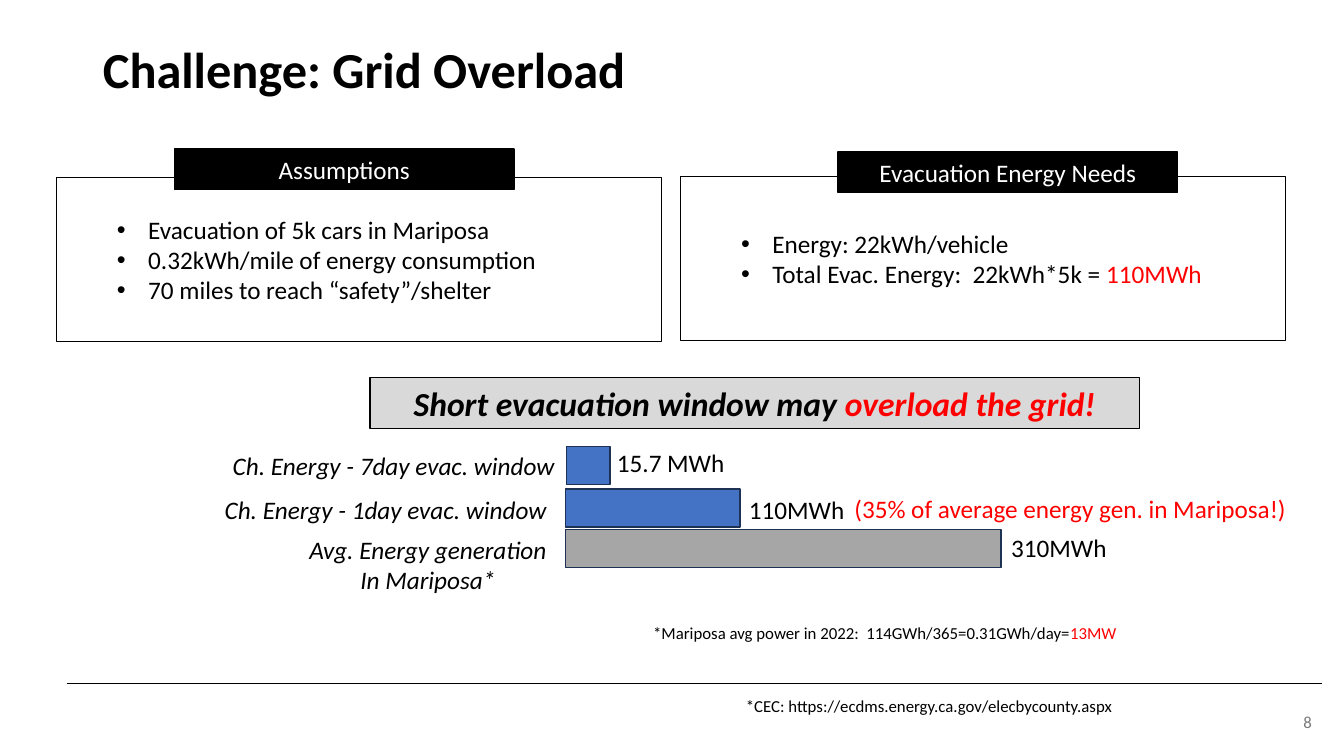
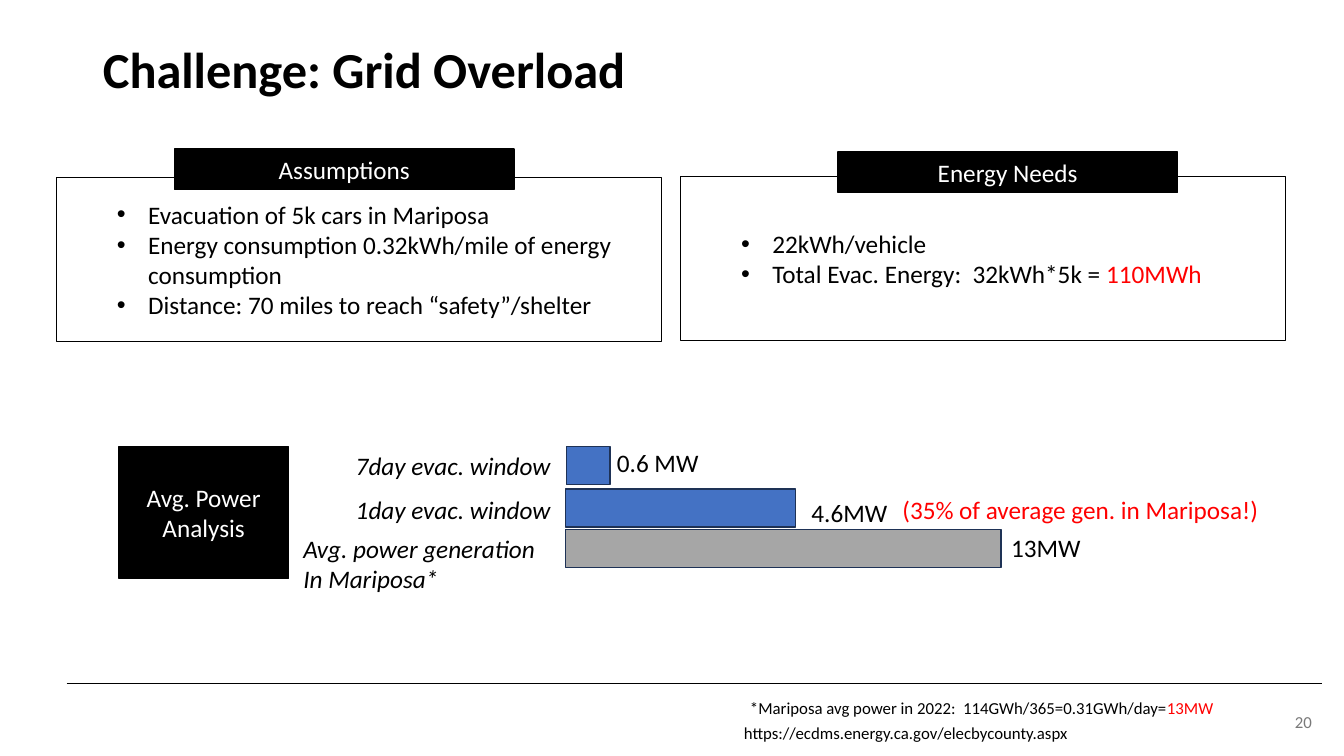
from dataclasses import dataclass

from lxml import etree
from pptx import Presentation
from pptx import util as u
from pptx.dml.color import RGBColor
from pptx.enum import shapes, text
from pptx.oxml import ns


@dataclass(frozen=True)
class Theme:
    font: str = "Calibri"
    black: str = "000000"
    white: str = "FFFFFF"
    red: str = "FF0000"
    grey: str = "797979"
    banner: str = "D9D9D9"
    blue_bar: str = "4472C4"
    grey_bar: str = "A6A6A6"
    bar_outline: str = "1E3256"
    title: int = 36
    headline: int = 24
    body: int = 18
    small: int = 12


THEME = Theme()
LEFT, CENTER, RIGHT = text.PP_ALIGN.LEFT, text.PP_ALIGN.CENTER, text.PP_ALIGN.RIGHT
TOP, MIDDLE = text.MSO_ANCHOR.TOP, text.MSO_ANCHOR.MIDDLE


def write(shape, lines, size=THEME.body, color=THEME.black, bold=False, italic=False,
          align=LEFT, anchor=TOP, wrap=True, bullets=False, spacing=1.0):
    """Fill a shape with lines; a line is a string or a (plain, red) pair."""
    frame = shape.text_frame
    frame.word_wrap = wrap
    frame.auto_size = text.MSO_AUTO_SIZE.NONE
    frame.vertical_anchor = anchor
    for number, line in enumerate(lines):
        paragraph = frame.add_paragraph() if number else frame.paragraphs[0]
        paragraph.alignment = align
        paragraph.line_spacing = spacing
        paragraph.space_before = u.Pt(0)
        if bullets:
            properties = paragraph._p.get_or_add_pPr()
            properties.set("marL", str(u.Inches(0.81)))
            properties.set("indent", str(u.Inches(-0.31)))
            etree.SubElement(properties, ns.qn("a:buFont"), typeface="Arial")
            etree.SubElement(properties, ns.qn("a:buChar"), char="•")
        parts = (line,) if isinstance(line, str) else line
        for part, part_color in zip(parts, (color, THEME.red)):
            run = paragraph.add_run()
            run.text = part
            run.font.name = THEME.font
            run.font.size = u.Pt(size)
            run.font.bold = bold
            run.font.italic = italic
            run.font.color.rgb = RGBColor.from_string(part_color)


def add_box(slide, place, fill=None, outline=THEME.black, width=1):
    """Add a filled rectangle, or a plain text box when there is no fill."""
    place = [u.Inches(length) for length in place]
    if fill is None:
        return slide.shapes.add_textbox(*place)
    shape = slide.shapes.add_shape(shapes.MSO_SHAPE.RECTANGLE, *place)
    shape.shadow.inherit = False
    shape.fill.solid()
    shape.fill.fore_color.rgb = RGBColor.from_string(fill)
    shape.line.color.rgb = RGBColor.from_string(outline)
    shape.line.width = u.Pt(width)
    return shape


PLACEHOLDERS = {0: (0.92, 0.4, 11.5, 0.94), 1: (0.56, 1.76, 6, 1.63), 2: (6.75, 1.75, 6, 1.63)}
TABS = [(1.73, 1.48, 3.37, 0.4), (8.31, 1.51, 3.37, 0.4)]
BAR_HEIGHT = 0.38
AVERAGE_POWER = ("*Mariposa avg power in 2022:  114GWh/365=0.31GWh/day=", "13MW")

# Labels: place, lines, alignment. Values, remark and notes: left, top, text.
SLIDES = [
    {
        "number": "8",
        "tabs": ["Assumptions", "Evacuation Energy Needs"],
        "lists": [
            ["Evacuation of 5k cars in Mariposa",
             "0.32kWh/mile of energy consumption",
             "70 miles to reach “safety”/shelter"],
            ["Energy: 22kWh/vehicle",
             ("Total Evac. Energy:  22kWh*5k = ", "110MWh")],
        ],
        "one_day_width": 1.73,
        "labels": [
            ((2.21, 4.42, 3.43, 0.4), ["Ch. Energy - 7day evac. window"], LEFT),
            ((2.13, 4.85, 3.43, 0.4), ["Ch. Energy - 1day evac. window"], LEFT),
            ((2.48, 5.25, 3.53, 0.71), ["Avg. Energy generation", "In Mariposa*"], CENTER),
        ],
        "values": [(6.02, 4.39, 1.28, "15.7 MWh"), (7.33, 4.85, 1.16, "110MWh"),
                   (9.93, 5.23, 1.16, "310MWh")],
        "remark": (8.31, 4.84, "(35% of average energy gen. in Mariposa!)"),
        "notes": [(6.38, 6.13, AVERAGE_POWER),
                  (7.3, 6.85, "*CEC: https://ecdms.energy.ca.gov/elecbycounty.aspx")],
        "banner": ("Short evacuation window may ", "overload the grid!"),
    },
    {
        "number": "20",
        "tabs": ["Assumptions", "Energy Needs"],
        "lists": [
            ["Evacuation of 5k cars in Mariposa",
             "Energy consumption 0.32kWh/mile of energy consumption",
             "Distance: 70 miles to reach “safety”/shelter"],
            ["22kWh/vehicle",
             ("Total Evac. Energy:  32kWh*5k = ", "110MWh")],
        ],
        "one_day_width": 2.28,
        "labels": [
            ((3.43, 4.42, 2.15, 0.4), ["7day evac. window"], LEFT),
            ((3.43, 4.86, 2.15, 0.4), ["1day evac. window"], LEFT),
            ((2.91, 5.24, 2.52, 0.71), ["Avg. power generation", "In Mariposa*"], LEFT),
        ],
        "values": [(6.02, 4.39, 1.02, "0.6 MW"), (7.95, 4.88, 0.96, "4.6MW"),
                   (9.93, 5.23, 0.9, "13MW")],
        "remark": (8.41, 4.86, "(35% of average gen. in Mariposa!)"),
        "notes": [(7.34, 6.87, AVERAGE_POWER),
                  (7.28, 7.12, "https://ecdms.energy.ca.gov/elecbycounty.aspx")],
        "side_heading": ["Avg. Power", "Analysis"],
    },
]

presentation = Presentation()
presentation.slide_width = u.Inches(13.33)
presentation.slide_height = u.Inches(7.5)
layout = presentation.slide_layouts.get_by_name("Two Content")
for placeholder in layout.placeholders:
    index = placeholder.placeholder_format.idx
    if index in PLACEHOLDERS:
        place = [u.Inches(length) for length in PLACEHOLDERS[index]]
        placeholder.left, placeholder.top, placeholder.width, placeholder.height = place

for content in SLIDES:
    slide = presentation.slides.add_slide(layout)
    if content is SLIDES[0]:
        # The footer rule is drawn once and moved to the shared layout.
        rule = slide.shapes.add_connector(
            shapes.MSO_CONNECTOR.STRAIGHT,
            u.Inches(0.66), u.Inches(6.78), u.Inches(13.11), u.Inches(6.78))
        rule.line.color.rgb = RGBColor.from_string(THEME.black)
        rule.line.width = u.Pt(0.5)
        etree.SubElement(rule.element.spPr, ns.qn("a:effectLst"))
        layout.shapes.element.append(rule.element)

    write(slide.shapes.title, ["Challenge: Grid Overload"], size=THEME.title, bold=True,
          spacing=0.9)
    for index, lines in enumerate(content["lists"], start=1):
        panel = slide.placeholders[index]
        panel.fill.solid()
        panel.fill.fore_color.rgb = RGBColor.from_string(THEME.white)
        panel.line.color.rgb = RGBColor.from_string(THEME.black)
        panel.line.width = u.Pt(1)
        write(panel, lines, anchor=MIDDLE, bullets=True)
    for place, heading in zip(TABS, content["tabs"]):
        write(add_box(slide, place, THEME.black), [heading], color=THEME.white, align=CENTER)

    bars = [(5.62, 4.43, 0.43, THEME.blue_bar),
            (5.61, 4.85, content["one_day_width"], THEME.blue_bar),
            (5.61, 5.25, 4.32, THEME.grey_bar)]
    for left, top, width, fill in bars:
        add_box(slide, (left, top, width, BAR_HEIGHT), fill, THEME.bar_outline)
    for place, lines, align in content["labels"]:
        write(add_box(slide, place), lines, italic=True, align=align, wrap=align == CENTER)
    for left, top, width, value in content["values"]:
        write(add_box(slide, (left, top, width, 0.4)), [value], wrap=False)
    left, top, remark = content["remark"]
    write(add_box(slide, (left, top, 4.61, 0.4)), [remark], color=THEME.red, align=CENTER)

    if "banner" in content:
        banner = add_box(slide, (3.67, 3.75, 7.63, 0.5), THEME.banner, width=0.75)
        write(banner, [content["banner"]], size=THEME.headline, bold=True, italic=True,
              align=CENTER)
    if "side_heading" in content:
        heading = add_box(slide, (1.18, 4.43, 1.68, 1.31), THEME.black)
        write(heading, content["side_heading"], color=THEME.white, align=CENTER, anchor=MIDDLE)

    for left, top, note in content["notes"]:
        write(add_box(slide, (left, top, 6.76, 0.3)), [note], size=THEME.small)
    write(add_box(slide, (11.69, 6.96, 1.42, 0.4)), [content["number"]], size=THEME.small,
          color=THEME.grey, align=RIGHT, anchor=MIDDLE)

presentation.save("out.pptx")
